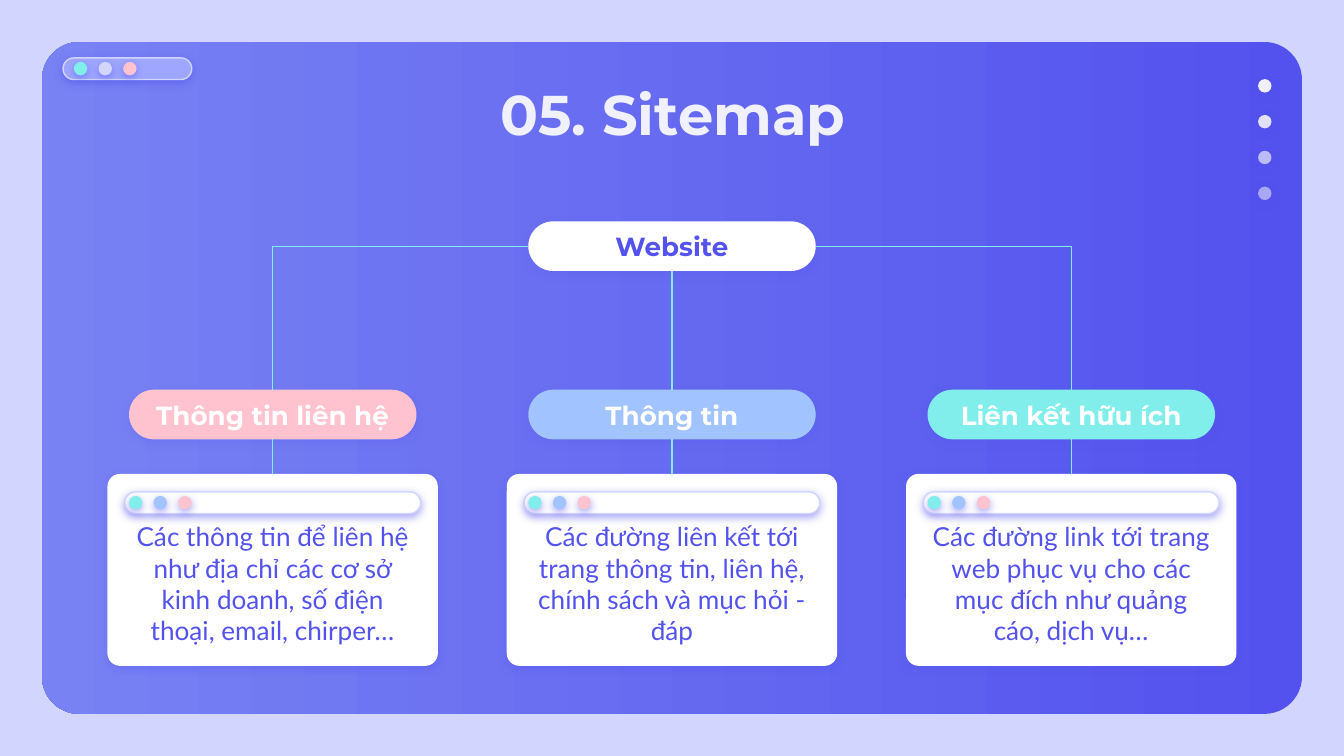
import pptx
import pptx.util
import pptx.dml.color
import pptx.enum.shapes
import pptx.enum.text
import pptx.oxml
import pptx.oxml.ns

Pt = pptx.util.Pt
RGB = pptx.dml.color.RGBColor.from_string
MSO = pptx.enum.shapes.MSO_SHAPE
LINK = pptx.enum.shapes.MSO_CONNECTOR
ANCHOR = pptx.enum.text.MSO_ANCHOR
NS = pptx.oxml.ns.nsdecls("a")

C = {"back": "D2D6FF", "indigo": "5352EE", "violet": "7882F3", "bar": "9EA6FF",
     "mint": "81EEEB", "pink": "FFC3D0", "sky": "A1C3FF", "pale": "F1F0FF",
     "white": "FFFFFF"}

prs = pptx.Presentation()
prs.slide_width, prs.slide_height = Pt(720), Pt(405)
s = prs.slides.add_slide(prs.slide_layouts[5])
s.background.fill.solid()
s.background.fill.fore_color.rgb = RGB(C["back"])


def shape(kind, x, y, w, h, fill, adj=None, line=None, shadow=0, alpha=100):
    sp = s.shapes.add_shape(kind, Pt(x), Pt(y), Pt(w), Pt(h))
    if adj is not None:
        sp.adjustments[0] = adj
    sp.fill.solid()
    sp.fill.fore_color.rgb = RGB(C[fill])
    if alpha < 100:
        color = sp._element.spPr.find(".//" + pptx.oxml.ns.qn("a:srgbClr"))
        color.append(pptx.oxml.parse_xml(f'<a:alpha {NS} val="{alpha * 1000}"/>'))
    if line:
        sp.line.color.rgb = RGB(C[line])
        sp.line.width = Pt(0.75)
    else:
        sp.line.fill.background()
    sp.shadow.inherit = False
    if shadow:
        effects = sp._element.spPr.find(pptx.oxml.ns.qn("a:effectLst"))
        effects.append(pptx.oxml.parse_xml(
            f'<a:outerShdw {NS} blurRad="{Pt(4.5)}" dist="{Pt(1.5)}" dir="5400000" '
            f'algn="bl" rotWithShape="0"><a:srgbClr val="{C["indigo"]}">'
            f'<a:alpha val="{shadow * 1000}"/></a:srgbClr></a:outerShdw>'))
    return sp


def write(sp, text, size=14, font="Lato", color="indigo", bold=False,
          anchor=ANCHOR.MIDDLE):
    tf = sp.text_frame
    tf.word_wrap = True
    tf.auto_size = pptx.enum.text.MSO_AUTO_SIZE.NONE
    tf.vertical_anchor = anchor
    tf.margin_left = tf.margin_right = tf.margin_top = tf.margin_bottom = Pt(7.2)
    p = tf.paragraphs[0]
    p.alignment = pptx.enum.text.PP_ALIGN.CENTER
    r = p.add_run()
    r.text = text
    r.font.size, r.font.name, r.font.bold = Pt(size), font, bold
    r.font.color.rgb = RGB(C[color])


# Window panel
panel = shape(MSO.ROUNDED_RECTANGLE, 22.5, 22.5, 675, 360, "indigo", adj=0.056)
panel.fill.gradient()
panel.fill.gradient_angle = 180
for stop, name in zip(panel.fill.gradient_stops, ("indigo", "violet")):
    stop.color.rgb = RGB(C[name])

# Fading dots on the right
for i, alpha in enumerate((100, 90, 67, 54)):
    shape(MSO.OVAL, 674, 42.4 + 19.2 * i, 7.2, 7.2, "pale", shadow=50, alpha=alpha)

# Title, raised above the panel
title = s.shapes.title
title.left, title.top, title.width, title.height = Pt(57), Pt(35.3), Pt(607), Pt(45.4)
write(title, "05. Sitemap", size=30, font="Montserrat", color="pale", bold=True,
      anchor=ANCHOR.TOP)
s.shapes._spTree.append(title._element)

# Sitemap columns
MID, STEP = 360, 213.9
PILL_W, PILL_H, ROOT_Y, PILL_Y = 154, 26.6, 118.6, 208.8
CARD_W, CARD_H, CARD_Y = 177, 102.8, 253.9
columns = [
    ("Thông tin liên hệ", "pink",
     "Các thông tin để liên hệ như địa chỉ các cơ sở kinh doanh, số điện thoại, "
     "email, chirper…"),
    ("Thông tin", "sky",
     "Các đường liên kết tới trang thông tin, liên hệ, chính sách và mục hỏi - đáp"),
    ("Liên kết hữu ích", "mint",
     "Các đường link tới trang web phục vụ cho các mục đích như quảng cáo, dịch vụ…"),
]
pills = [("Website", MID, ROOT_Y, "white", "indigo")]
bars = [(33.8, 31, 69, "bar", 5.8, "back")]
links = []
for i, (name, fill, body) in enumerate(columns):
    cx = MID + (i - 1) * STEP
    shape(MSO.ROUNDED_RECTANGLE, cx - CARD_W / 2, CARD_Y, CARD_W, CARD_H, "white",
          adj=0.065, shadow=34)
    write(s.shapes.add_textbox(Pt(cx - 83.5), Pt(280.8), Pt(167), Pt(63.4)), body)
    pills.append((name, cx, PILL_Y, fill, "white"))
    bars.append((cx - 79.2, 263.5, 158.4, "white", 2.2, "sky"))
    if i == 1:
        links.append((LINK.STRAIGHT, cx, ROOT_Y + PILL_H, cx, PILL_Y))
    else:
        links.append((LINK.ELBOW, MID + (i - 1) * PILL_W / 2, ROOT_Y + PILL_H / 2,
                      cx, PILL_Y))
    links.append((LINK.STRAIGHT, cx, PILL_Y + PILL_H, cx, CARD_Y))

# Pills with their labels
for name, cx, y, fill, color in pills:
    shape(MSO.ROUNDED_RECTANGLE, cx - PILL_W / 2, y, PILL_W, PILL_H, fill,
          adj=0.5, shadow=18)
    write(s.shapes.add_textbox(Pt(cx - 72), Pt(y + 5.8), Pt(144), Pt(15)), name,
          font="Montserrat", color=color, bold=True)

# Browser bars with three dots
for x, y, w, fill, inset, middle in bars:
    shape(MSO.ROUNDED_RECTANGLE, x, y, w, 11.6, fill, adj=0.5, line="back", shadow=50)
    for i, color in enumerate(("mint", middle, "pink")):
        shape(MSO.OVAL, x + inset + 13.2 * i, y + 2.2, 7.2, 7.2, color, shadow=50)

# Connectors
for kind, x1, y1, x2, y2 in links:
    link = s.shapes.add_connector(kind, Pt(x1), Pt(y1), Pt(x2), Pt(y2))
    link.line.color.rgb = RGB(C["mint"])
    link.line.width = Pt(0.75)
    spPr = link._element.spPr
    spPr.append(pptx.oxml.parse_xml(f"<a:effectLst {NS}/>"))
    if kind == LINK.ELBOW:
        spPr.find(pptx.oxml.ns.qn("a:prstGeom")).set("prst", "bentConnector2")

prs.save("out.pptx")
